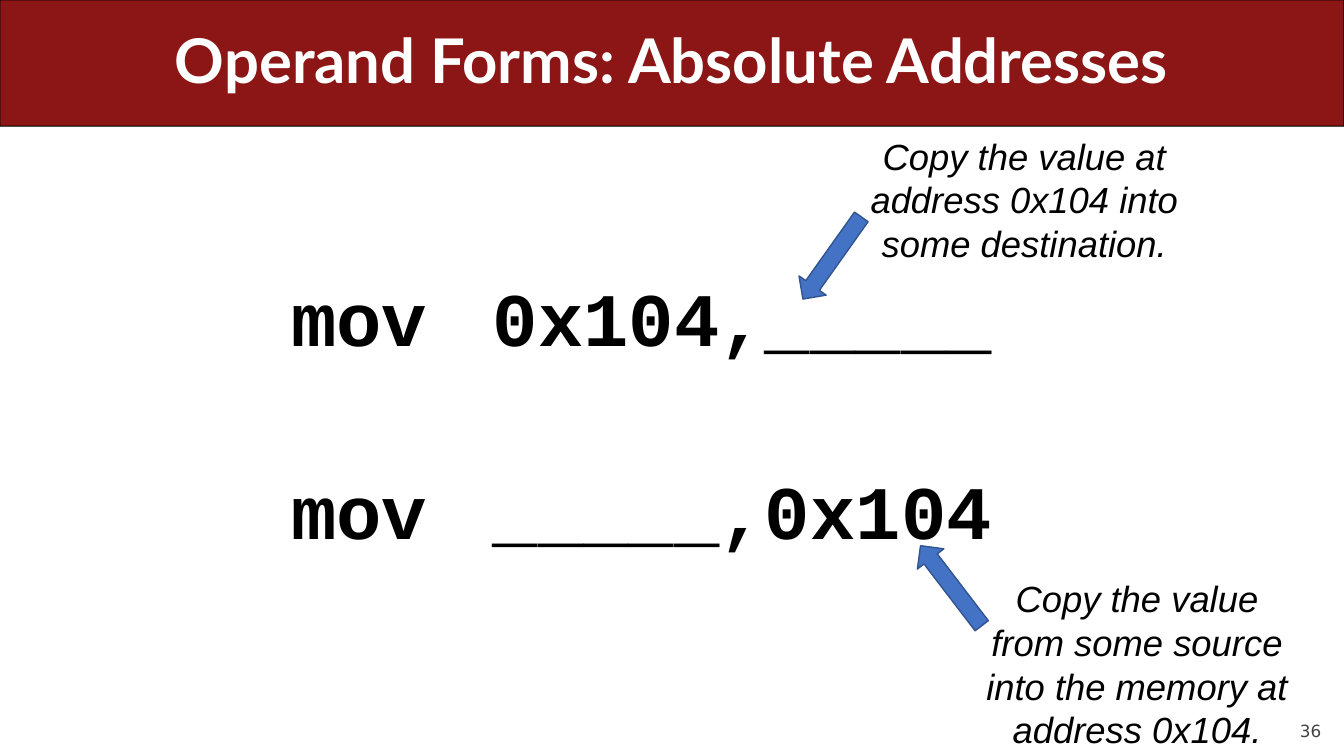
from pptx import Presentation
from pptx.dml.color import RGBColor
from pptx.enum.shapes import MSO_SHAPE
from pptx.enum.text import MSO_ANCHOR, PP_ALIGN
from pptx.util import Cm, Pt

LEFT, CENTER, RIGHT = PP_ALIGN.LEFT, PP_ALIGN.CENTER, PP_ALIGN.RIGHT
TOP, MIDDLE, BOTTOM = MSO_ANCHOR.TOP, MSO_ANCHOR.MIDDLE, MSO_ANCHOR.BOTTOM
ROUNDED, UP_ARROW = MSO_SHAPE.ROUNDED_RECTANGLE, MSO_SHAPE.UP_ARROW

CARDINAL = RGBColor(0x8C, 0x15, 0x15)
WHITE = RGBColor(0xFF, 0xFF, 0xFF)
BLACK = RGBColor(0x00, 0x00, 0x00)
GRAY = RGBColor(0x42, 0x42, 0x42)
BLUE = RGBColor(0x44, 0x72, 0xC4)
DARK_BLUE = RGBColor(0x32, 0x54, 0x91)

SLIDE_WIDTH, SLIDE_HEIGHT = 33.87, 19.05
BANNER_HEIGHT = 3.18


def add_text(slide, box, paragraphs, *, font, size, color=BLACK, bold=False,
             italic=False, align=LEFT, anchor=TOP, line_spacing=1.0,
             spaces_before=(0,), margin=None):
    """Write paragraphs in a box given as left, top, width, height in cm."""
    frame = slide.shapes.add_textbox(*map(Cm, box)).text_frame
    frame.word_wrap = True
    frame.vertical_anchor = anchor
    if margin is not None:
        frame.margin_left = frame.margin_right = Cm(margin)
        frame.margin_top = frame.margin_bottom = Cm(margin)
    frame.text = "\n".join(paragraphs)
    for paragraph, space_before in zip(frame.paragraphs, spaces_before):
        paragraph.alignment = align
        paragraph.line_spacing = line_spacing
        paragraph.space_before = Pt(space_before)
        style = paragraph.runs[0].font
        style.name, style.size = font, Pt(size)
        style.bold, style.italic = bold, italic
        style.color.rgb = color


def add_filled_shape(slide, kind, box, fill, line, line_width):
    shape = slide.shapes.add_shape(kind, *map(Cm, box))
    shape.shadow.inherit = False
    shape.fill.solid()
    shape.fill.fore_color.rgb = fill
    shape.line.color.rgb = line
    shape.line.width = Pt(line_width)
    return shape


def add_banner(slide, box, title):
    left, top, width, height = box
    banner = add_filled_shape(slide, ROUNDED, box, CARDINAL, BLACK, 0.75)
    banner.adjustments[0] = 0.001
    inset = 1.27
    add_text(slide, (left + inset, top, width - 2 * inset, height), [title],
             font="Lato", size=44, color=WHITE, bold=True, align=CENTER,
             anchor=MIDDLE, line_spacing=0.9)


def add_instructions(slide, box, instructions):
    add_text(slide, box, instructions, font="Courier New", size=54, bold=True,
             anchor=MIDDLE, line_spacing=0.9, spaces_before=(10, 79))


def add_explanation(slide, box, explanation, arrow_offset, rotation):
    """Place a note and an arrow, offset from the note's top left corner."""
    left, top = box[:2]
    across, down = arrow_offset
    arrow = add_filled_shape(slide, UP_ARROW,
                             (left + across, top + down, 0.84, 2.54),
                             BLUE, DARK_BLUE, 1)
    arrow.rotation = rotation
    add_text(slide, box, [explanation], font="Arial", size=26, italic=True,
             align=CENTER)


def add_slide_number(slide, box, number):
    add_text(slide, box, [number], font="DejaVu Sans", size=12, color=GRAY,
             align=RIGHT, anchor=BOTTOM, spaces_before=(5,), margin=0)


def main():
    deck = Presentation()
    deck.slide_width, deck.slide_height = Cm(SLIDE_WIDTH), Cm(SLIDE_HEIGHT)
    slide = deck.slides.add_slide(deck.slide_layouts[6])

    add_slide_number(slide, (30.48, 17.65, 2.82, 1.02), "36")
    add_banner(slide, (0, 0, SLIDE_WIDTH, BANNER_HEIGHT),
               "Operand Forms: Absolute Addresses")
    add_instructions(slide, (7.09, 6.15, 19.69, 8.79),
                     ["mov\t\t0x104,_____", "mov\t\t_____,0x104"])
    add_explanation(slide, (21.49, 3.25, 8.66, 3.58),
                    "Copy the value at address 0x104 into some destination.",
                    arrow_offset=(-0.94, 1.98), rotation=215.4)
    add_explanation(slide, (24.33, 14.4, 8.66, 4.65),
                    "Copy the value from some source into the memory at "
                    "address 0x104.",
                    arrow_offset=(-0.78, -0.91), rotation=322.6)
    deck.save("out.pptx")


if __name__ == "__main__":
    main()
